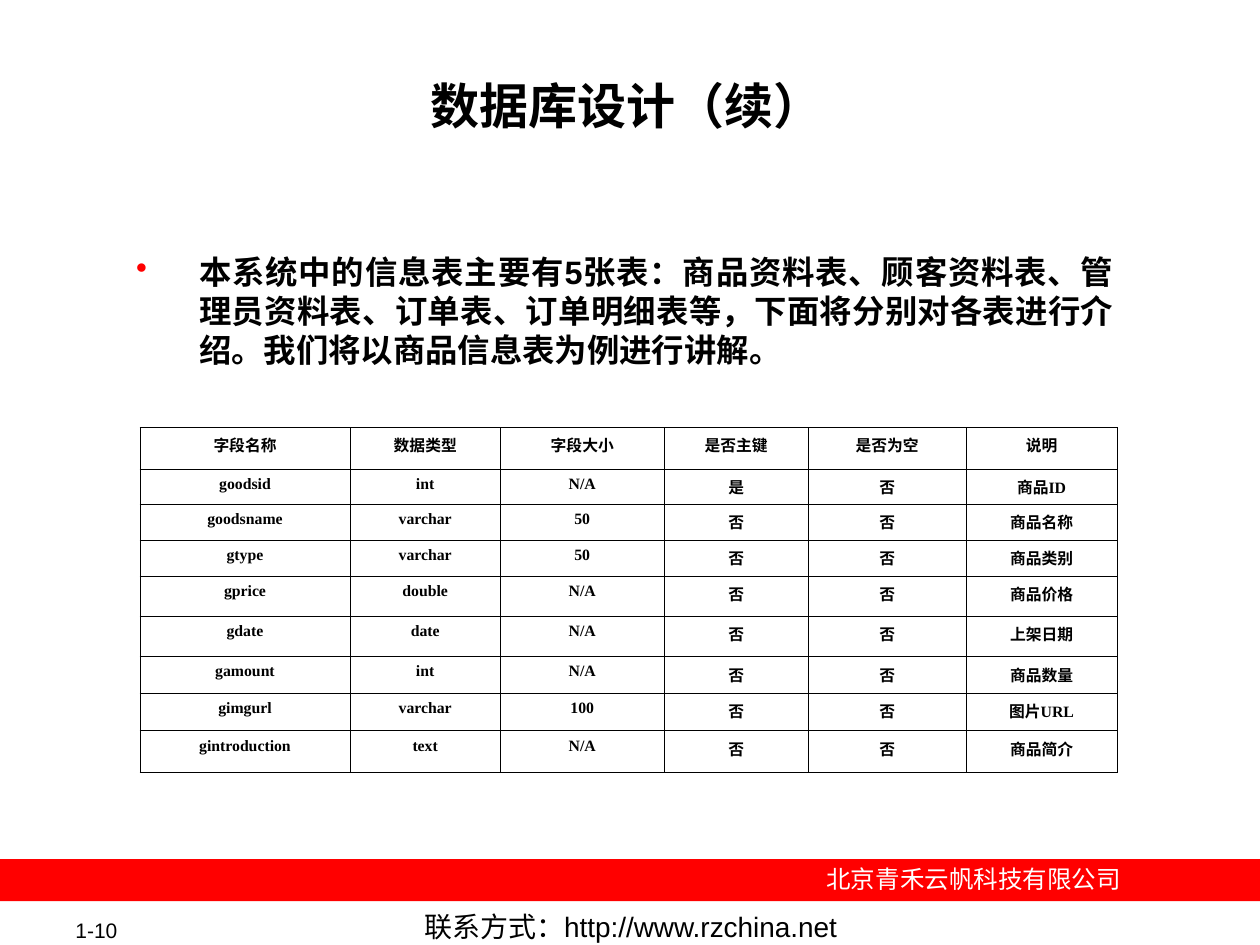
from lxml.etree import SubElement
from pptx import Presentation
from pptx.dml.color import RGBColor
from pptx.enum.shapes import MSO_SHAPE
from pptx.enum.text import MSO_ANCHOR, MSO_AUTO_SIZE, PP_ALIGN
from pptx.oxml.ns import qn
from pptx.util import Pt

BLACK, RED, WHITE = "000000", "FF0000", "FFFFFF"
COLUMN_WIDTHS = [120, 86, 93.5, 82.5, 90, 86.5]
ROW_HEIGHTS = [24, 20, 20.5, 20.5, 23, 23, 21, 21.5, 24]
HEADER = ["字段名称", "数据类型", "字段大小", "是否主键", "是否为空", "说明"]
FIELDS = [
    ["goodsid", "int", "N/A", "是", "否", "商品ID"],
    ["goodsname", "varchar", "50", "否", "否", "商品名称"],
    ["gtype", "varchar", "50", "否", "否", "商品类别"],
    ["gprice", "double", "N/A", "否", "否", "商品价格"],
    ["gdate", "date", "N/A", "否", "否", "上架日期"],
    ["gamount", "int", "N/A", "否", "否", "商品数量"],
    ["gimgurl", "varchar", "100", "否", "否", "图片URL"],
    ["gintroduction", "text", "N/A", "否", "否", "商品简介"],
]
INTRODUCTION = (
    "本系统中的信息表主要有5张表：商品资料表、顾客资料表、管理员资料表、订单表、"
    "订单明细表等，下面将分别对各表进行介绍。我们将以商品信息表为例进行讲解。"
)


def color(value):
    """Turn a hex string into a colour."""
    return RGBColor.from_string(value)


def write(frame, text, size, align=PP_ALIGN.CENTER, hue=BLACK, bold=False, name="Arial"):
    """Put formatted text into the first paragraph of a frame."""
    para = frame.paragraphs[0]
    para.text = text
    para.alignment = align
    font = para.font
    font.size, font.bold, font.name = Pt(size), bold, name
    font.color.rgb = color(hue)


def place(shape, box):
    """Move a shape to a box of left, top, width and height."""
    shape.left, shape.top, shape.width, shape.height = map(Pt, box)


def fit(frame, margin):
    """Wrap text at the top of a frame with equal margins."""
    frame.word_wrap = True
    frame.auto_size = MSO_AUTO_SIZE.NONE
    frame.vertical_anchor = MSO_ANCHOR.TOP
    frame.margin_left = frame.margin_right = Pt(margin)
    frame.margin_top = frame.margin_bottom = Pt(margin)


def add_label(page, box, text, size, align=PP_ALIGN.CENTER, hue=BLACK, anchor=MSO_ANCHOR.MIDDLE):
    """Add a one-line footer label."""
    frame = page.shapes.add_textbox(*map(Pt, box)).text_frame
    frame.word_wrap = False
    frame.vertical_anchor = anchor
    write(frame, text, size, align, hue)


def add_footer(page, box):
    """Add the red band with the company, page number and contact line."""
    left, top, width, height = box
    band = page.shapes.add_shape(MSO_SHAPE.RECTANGLE, *map(Pt, (left, top, width, 24)))
    band.shadow.inherit = False
    band.fill.solid()
    band.fill.fore_color.rgb = color(RED)
    band.line.fill.background()
    add_label(page, (left + 460.5, top - 1, 192, 24.5), "北京青禾云帆科技有限公司", 14,
              hue=WHITE, anchor=MSO_ANCHOR.TOP)
    add_label(page, (left + 36, top + 33, 76, 14.5), "1-10", 12, PP_ALIGN.JUSTIFY)
    add_label(page, (left + 199, top + 31, 323, 15), "联系方式：http://www.rzchina.net", 16)


def add_title(page, box):
    """Place and format the slide title."""
    title = page.shapes.title
    place(title, box)
    fit(title.text_frame, 0.75)
    write(title.text_frame, "数据库设计（续）", 28, bold=True)


def add_introduction(page, box):
    """Add the bulleted introduction."""
    frame = page.shapes.add_textbox(*map(Pt, box)).text_frame
    fit(frame, 0.75)
    properties = frame.paragraphs[0]._p.get_or_add_pPr()
    properties.set("marL", str(Pt(45.5)))
    properties.set("indent", str(Pt(-36)))
    bullet_color = SubElement(properties, qn("a:buClr"))
    SubElement(bullet_color, qn("a:srgbClr"), val=RED)
    SubElement(properties, qn("a:buChar"), char="•")
    write(frame, INTRODUCTION, 18.5, PP_ALIGN.JUSTIFY, bold=True)


def add_borders(cell):
    """Draw thin black lines around a table cell."""
    properties = cell._tc.get_or_add_tcPr()
    for index, side in enumerate(("a:lnL", "a:lnR", "a:lnT", "a:lnB")):
        line = properties.makeelement(qn(side), {"w": str(Pt(0.45))})
        fill = SubElement(line, qn("a:solidFill"))
        SubElement(fill, qn("a:srgbClr"), val=BLACK)
        properties.insert(index, line)


def add_field_table(page, box):
    """Add the table of goods fields."""
    rows = [HEADER, *FIELDS]
    table = page.shapes.add_table(len(rows), len(HEADER), *map(Pt, box)).table
    table.first_row = table.horz_banding = False
    for column, width in zip(table.columns, COLUMN_WIDTHS):
        column.width = Pt(width)
    for row, height, texts in zip(table.rows, ROW_HEIGHTS, rows):
        row.height = Pt(height)
        for cell, text in zip(row.cells, texts):
            write(cell.text_frame, text, 9, bold=True, name="Times New Roman")
            cell.fill.background()
            add_borders(cell)


def main():
    """Build the database design slide."""
    deck = Presentation()
    deck.slide_width, deck.slide_height = Pt(720), Pt(540)
    page = deck.slides.add_slide(deck.slide_layouts[5])
    add_footer(page, (0, 491, 720, 49))
    add_title(page, (70, 42.5, 576, 69))
    add_introduction(page, (67.5, 143.5, 569.5, 74))
    add_field_table(page, (80, 244.2, sum(COLUMN_WIDTHS), sum(ROW_HEIGHTS)))
    deck.save("out.pptx")


if __name__ == "__main__":
    main()
